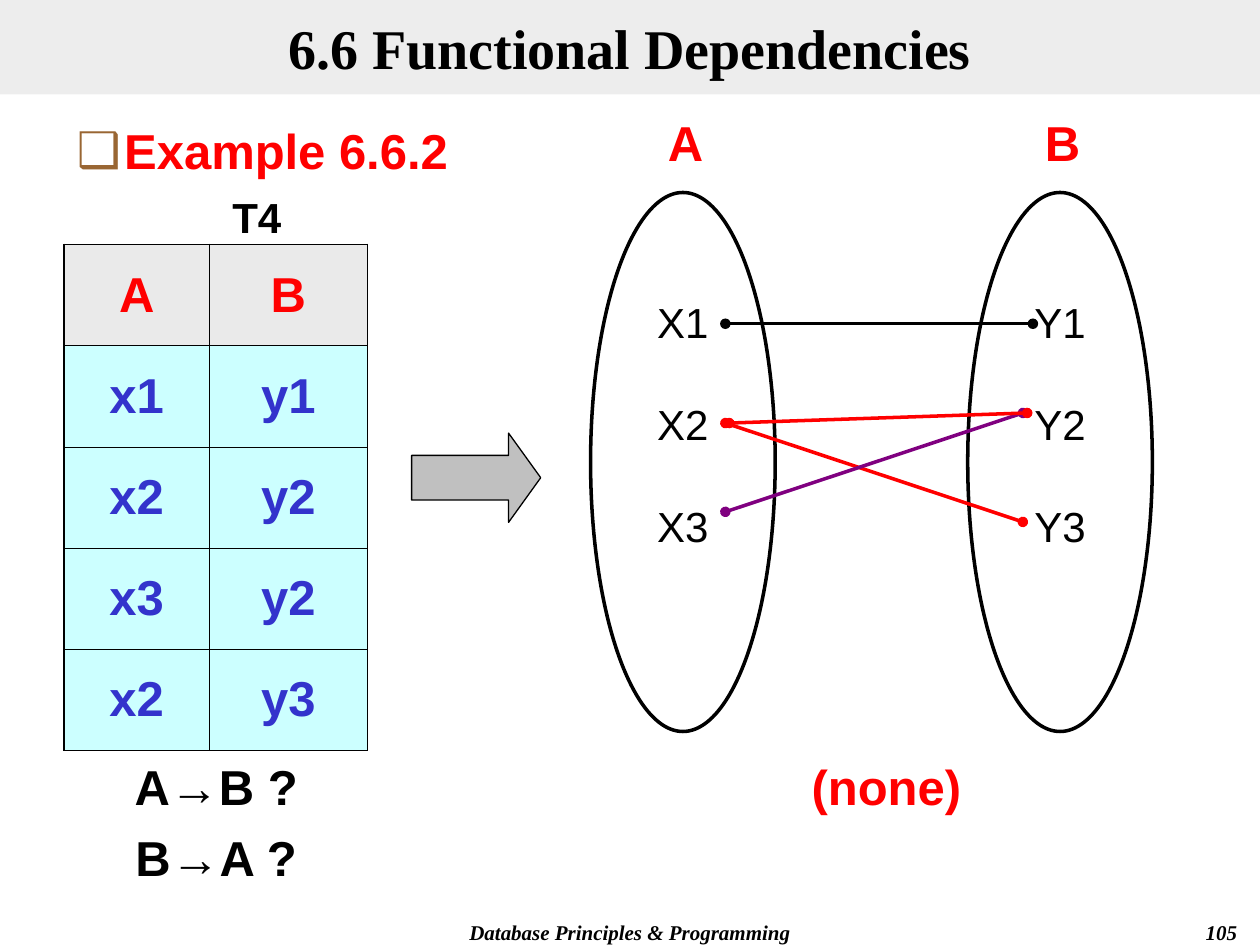
import dataclasses

import lxml.etree
import pptx
import pptx.dml.color
import pptx.enum.shapes
import pptx.enum.text
import pptx.oxml
import pptx.oxml.ns
import pptx.util

Pt = pptx.util.Pt
qn = pptx.oxml.ns.qn
RGB = pptx.dml.color.RGBColor.from_string
Align = pptx.enum.text.PP_ALIGN
Anchor = pptx.enum.text.MSO_ANCHOR
Shape = pptx.enum.shapes.MSO_SHAPE


@dataclasses.dataclass(frozen=True)
class Theme:
    sans: str = "Arial"
    serif: str = "Times New Roman"
    title_size: int = 32
    large: int = 28
    medium: int = 24
    small: int = 12
    black: str = "000000"
    red: str = "FF0000"
    blue: str = "3333CC"
    purple: str = "800080"
    bullet: str = "996633"
    band: str = "DDDDDD"
    header_fill: str = "EAEAEA"
    cell_fill: str = "CCFFFF"
    arrow_fill: str = "C0C0C0"


THEME = Theme()

TITLE = "6.6 Functional Dependencies"
EXAMPLE = "Example 6.6.2"
TABLE = [("A", "B"), ("x1", "y1"), ("x2", "y2"), ("x3", "y2"), ("x2", "y3")]
TABLE_LEFT, TABLE_TOP = 36.75, 139.75
COLUMN_WIDTHS, ROW_HEIGHT = (82.75, 90.5), 57.85
OUTER_BORDER, INNER_BORDER = 1.08, 0.45

# text, (left, top, width, height), colour
LABELS = [
    (["T4"], (95.75, 106, 102, 36), THEME.medium, THEME.black),
    (["(none)"], (443.5, 428.5, 126, 41), THEME.large, THEME.red),
    (["A→B ?", "B→A ?"], (60.5, 428.5, 126, 81), THEME.large, THEME.black),
]
FOOTERS = [
    ("Database Principles & Programming", (204, 522, 312, 18), Align.CENTER),
    ("105", (564, 522, 150, 18), Align.RIGHT),
]
SETS = [("A", ["X1", "X2", "X3"]), ("B", ["Y1", "Y2", "Y3"])]
SET_LEFT, SET_TOP, SET_WIDTH, SET_HEIGHT = 337.5, 110, 105.5, 308
SET_PITCH = 215.5
# start, end, colour
MAPPINGS = [
    ((414.5, 185), (590.25, 185), THEME.black),
    ((414.5, 241.75), (584.5, 298.25), THEME.red),
    ((414.5, 292.5), (584.5, 236), THEME.purple),
    ((416.75, 241.75), (587, 236), THEME.red),
]


def points(values):
    return [Pt(value) for value in values]


def place(shape, box):
    shape.left, shape.top, shape.width, shape.height = points(box)


def write(text_frame, lines, size, color, font=THEME.sans, bold=True, italic=False,
          align=Align.CENTER, anchor=Anchor.TOP, gap=7, spacing=None):
    text_frame.text = "\n".join(lines)
    text_frame.word_wrap = True
    text_frame.auto_size = pptx.enum.text.MSO_AUTO_SIZE.NONE
    text_frame.vertical_anchor = anchor
    for index, paragraph in enumerate(text_frame.paragraphs):
        paragraph.alignment = align
        paragraph.line_spacing = spacing
        paragraph.space_before = Pt(gap if index else 0)
        for run in paragraph.runs:
            run.font.name, run.font.size = font, Pt(size)
            run.font.bold, run.font.italic = bold, italic
            run.font.color.rgb = RGB(color)


def add_label(slide, lines, box, size, color, **style):
    write(slide.shapes.add_textbox(*points(box)).text_frame, lines, size, color, **style)


def add_outlined(slide, preset, box, width, fill=None):
    shape = slide.shapes.add_shape(preset, *points(box))
    shape.shadow.inherit = False
    if fill:
        shape.fill.solid()
        shape.fill.fore_color.rgb = RGB(fill)
    else:
        shape.fill.background()
    shape.line.color.rgb = RGB(THEME.black)
    shape.line.width = Pt(width)
    return shape


def fill_placeholders(slide):
    title = slide.shapes.title
    place(title, (0, 0, 720, 54))
    title.fill.solid()
    title.fill.fore_color.rgb = RGB(THEME.band)
    color = title.fill._xPr.find(qn("a:solidFill"))[0]
    lxml.etree.SubElement(color, qn("a:alpha"), val="50000")
    write(title.text_frame, [TITLE], THEME.title_size, THEME.black,
          font=THEME.serif, anchor=Anchor.MIDDLE)

    body = slide.placeholders[1]
    place(body, (36.75, 65.5, 648, 444))
    write(body.text_frame, [EXAMPLE], THEME.large, THEME.red, align=Align.LEFT)
    properties = body.text_frame.paragraphs[0]._p.get_or_add_pPr()
    properties.set("marL", str(Pt(27)))
    properties.set("indent", str(Pt(-27)))
    bullet_color = lxml.etree.SubElement(properties, qn("a:buClr"))
    lxml.etree.SubElement(bullet_color, qn("a:srgbClr"), val=THEME.bullet)
    lxml.etree.SubElement(properties, qn("a:buChar"), char="❑")


def set_borders(cell, widths):
    properties = cell._tc.get_or_add_tcPr()
    for side, width in widths.items():
        line = lxml.etree.SubElement(properties, qn(f"a:ln{side}"), w=str(Pt(width)))
        fill = lxml.etree.SubElement(line, qn("a:solidFill"))
        lxml.etree.SubElement(fill, qn("a:srgbClr"), val=THEME.black)


def add_relation_table(slide):
    rows, columns = len(TABLE), len(COLUMN_WIDTHS)
    box = (TABLE_LEFT, TABLE_TOP, sum(COLUMN_WIDTHS), ROW_HEIGHT * rows)
    table = slide.shapes.add_table(rows, columns, *points(box)).table
    for column, width in zip(table.columns, COLUMN_WIDTHS):
        column.width = Pt(width)
    for r, values in enumerate(TABLE):
        table.rows[r].height = Pt(ROW_HEIGHT)
        for c, value in enumerate(values):
            cell = table.cell(r, c)
            on_edge = {"L": c == 0, "R": c == columns - 1, "T": r == 0, "B": r == rows - 1}
            set_borders(cell, {side: OUTER_BORDER if edge else INNER_BORDER
                               for side, edge in on_edge.items()})
            cell.fill.solid()
            cell.fill.fore_color.rgb = RGB(THEME.cell_fill if r else THEME.header_fill)
            write(cell.text_frame, [value], THEME.large, THEME.blue if r else THEME.red)
            cell.vertical_anchor = Anchor.MIDDLE


def add_sets(slide):
    for index, (name, members) in enumerate(SETS):
        left = SET_LEFT + index * SET_PITCH
        ellipse = add_outlined(slide, Shape.OVAL, (left, SET_TOP, SET_WIDTH, SET_HEIGHT), 2)
        frame = ellipse.text_frame
        frame.margin_top = frame.margin_bottom = 0
        write(frame, members, THEME.medium, THEME.black, bold=False, gap=15, spacing=1.5)
        add_label(slide, [name], (left + 8.75, 60.5, 91, 41), THEME.large, THEME.red)


def add_mapping(slide, start, end, color):
    connector = slide.shapes.add_connector(
        pptx.enum.shapes.MSO_CONNECTOR.STRAIGHT, *points(start + end))
    connector.line.color.rgb = RGB(color)
    connector.line.width = Pt(2)
    line = connector.line._get_or_add_ln()
    for tag in ("a:headEnd", "a:tailEnd"):
        lxml.etree.SubElement(line, qn(tag), type="oval")
    lxml.etree.SubElement(connector._element.spPr, qn("a:effectLst"))


def main():
    presentation = pptx.Presentation()
    presentation.slide_width, presentation.slide_height = Pt(720), Pt(540)
    slide = presentation.slides.add_slide(presentation.slide_layouts[1])
    for text, box, align in FOOTERS:
        add_label(slide, [text], box, THEME.small, THEME.black,
                  font=THEME.serif, italic=True, align=align)
    fill_placeholders(slide)
    add_relation_table(slide)
    add_sets(slide)
    for mapping in MAPPINGS:
        add_mapping(slide, *mapping)
    arrow = add_outlined(slide, Shape.RIGHT_ARROW, (235.25, 247.5, 73.75, 51),
                         0.75, THEME.arrow_fill)
    arrow.adjustments[1] = 0.36
    for label in LABELS:
        add_label(slide, *label)
    presentation.save("out.pptx")


if __name__ == "__main__":
    main()
